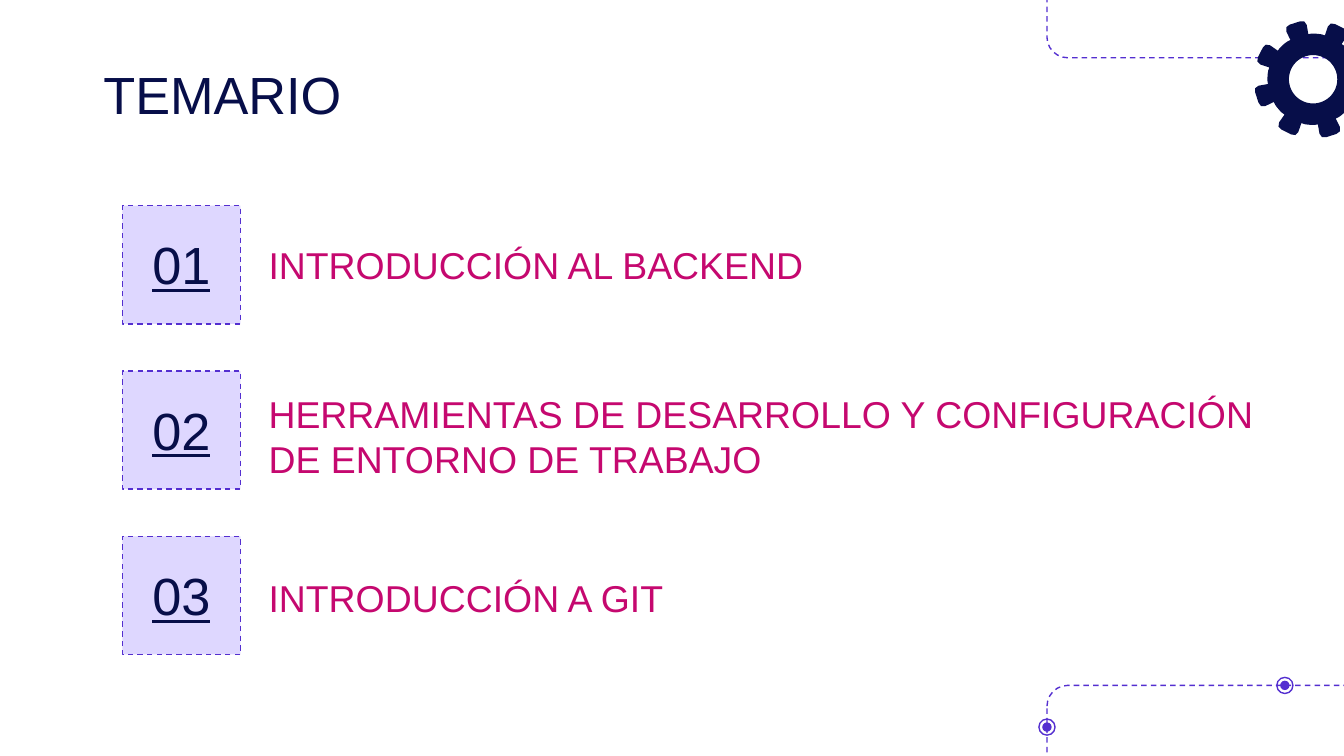
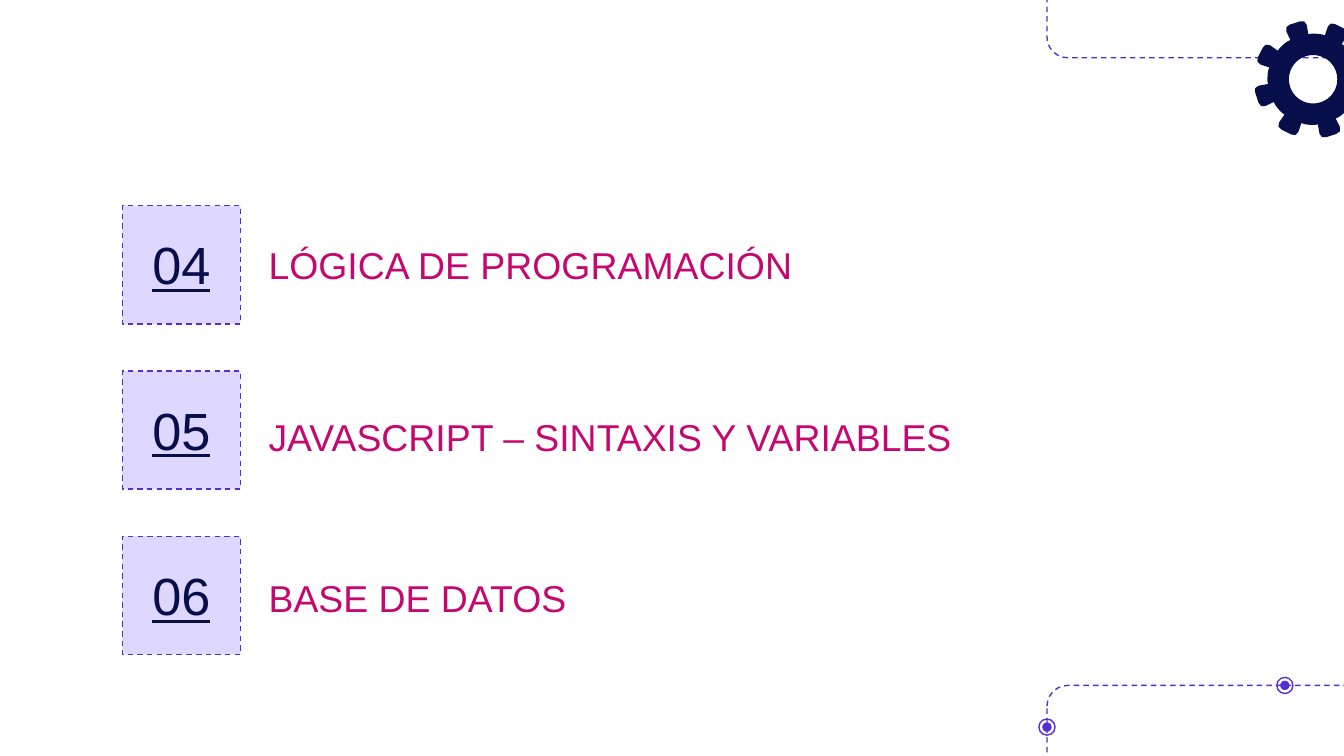
from math import cos, pi, radians, sin

from pptx import Presentation
from pptx.dml.color import RGBColor
from pptx.enum.dml import MSO_LINE
from pptx.enum.shapes import MSO_SHAPE
from pptx.enum.text import MSO_ANCHOR, MSO_AUTO_SIZE, PP_ALIGN
from pptx.util import Inches, Pt

NAVY = RGBColor(0x07, 0x0E, 0x49)
PURPLE = RGBColor(0x54, 0x2F, 0xD0)
LILAC = RGBColor(0xDE, 0xD7, 0xFF)
MAGENTA = RGBColor(0xC5, 0x08, 0x6F)
FONT = "Arial"

TITLE_ONLY, BLANK = 5, 6
BOX_SIZE = 0.88
BOX_TOP, BOX_STEP = 1.53, 1.23
TOPIC_PLACES = [(1.53, 4.72), (2.81, 7.76), (4.01, 4.45)]
NODES = [(9.56, 5.1), (7.79, 5.41)]
GEAR_CENTER = (9.77, 0.59)
TOOTH = [(0.33, -0.07), (0.4, -0.08), (0.43, -0.07), (0.44, -0.04),
         (0.44, 0.04), (0.43, 0.07), (0.4, 0.08), (0.33, 0.07)]

AGENDAS = [
    ("TEMARIO", ["INTRODUCCIÓN AL BACKEND",
                 "HERRAMIENTAS DE DESARROLLO Y CONFIGURACIÓN DE ENTORNO DE TRABAJO",
                 "INTRODUCCIÓN A GIT"]),
    (None, ["LÓGICA DE PROGRAMACIÓN",
            "JAVASCRIPT – SINTAXIS Y VARIABLES",
            "BASE DE DATOS"]),
]


def write(sp, text, size, color, anchor, align=PP_ALIGN.LEFT, underline=None):
    """Fill a shape with one formatted run."""
    tf = sp.text_frame
    tf.word_wrap = True
    tf.auto_size = MSO_AUTO_SIZE.NONE
    tf.vertical_anchor = anchor
    tf.margin_left = tf.margin_right = tf.margin_bottom = Inches(0.1)
    tf.margin_top = Inches(0.09)
    p = tf.paragraphs[0]
    p.alignment = align
    r = p.add_run()
    r.text = text
    r.font.name = FONT
    r.font.size = Pt(size)
    r.font.color.rgb = color
    r.font.underline = underline


def paint(sp, fill=None, line=None, dash=None):
    """Set fill and outline and drop the shadow."""
    sp.shadow.inherit = False
    if fill is None:
        sp.fill.background()
    else:
        sp.fill.solid()
        sp.fill.fore_color.rgb = fill
    if line is None:
        sp.line.fill.background()
    else:
        sp.line.color.rgb = line
        sp.line.width = Pt(0.75)
        sp.line.dash_style = dash


def add_preset(s, kind, x, y, w, h, **style):
    """Add a painted preset shape."""
    sp = s.shapes.add_shape(kind, Inches(x), Inches(y), Inches(w), Inches(h))
    paint(sp, **style)
    return sp


def add_circle(s, x, y, d, **style):
    """Add a circle by its center and diameter."""
    add_preset(s, MSO_SHAPE.OVAL, x - d / 2, y - d / 2, d, d, **style)


def polar(radius, angle):
    """Return the slide point at a radius and angle from the gear center."""
    x, y = GEAR_CENTER
    return Inches(x + radius * cos(angle)), Inches(y + radius * sin(angle))


def add_gear(s):
    """Draw the eight-toothed gear with a round hole."""
    x, y = GEAR_CENTER
    rim = []
    for i in range(8):
        a = radians(27 + 45 * i)
        rim += [(Inches(x + u * cos(a) - v * sin(a)),
                 Inches(y + u * sin(a) + v * cos(a))) for u, v in TOOTH]
        rim += [polar(0.34, a + radians(d)) for d in (16, 20, 25, 29)]
    hole = [polar(0.18, -2 * pi * i / 60) for i in range(60)]
    builder = s.shapes.build_freeform(*rim[0])
    builder.add_line_segments(rim[1:])
    builder.move_to(*hole[0])
    builder.add_line_segments(hole[1:])
    paint(builder.convert_to_shape(), fill=NAVY)


def add_decor(s):
    """Add the dashed corner tracks, their nodes and the gear."""
    for top in (-0.48, 5.1):
        track = add_preset(s, MSO_SHAPE.ROUNDED_RECTANGLE, 7.79, top, 2.62, 0.91,
                           line=PURPLE, dash=MSO_LINE.DASH)
        track.adjustments[0] = 0.17
    for x, y in NODES:
        add_circle(s, x, y, 0.07, fill=PURPLE)
        add_circle(s, x, y, 0.12, line=PURPLE)
    add_gear(s)


def add_title(s, text):
    """Place and format the slide title."""
    sp = s.shapes.title
    sp.left, sp.top = Inches(0.67), Inches(0.36)
    sp.width, sp.height = Inches(8.43), Inches(0.65)
    write(sp, text, 28, NAVY, MSO_ANCHOR.TOP)
    sp.text_frame.margin_top = Inches(0.1)


def add_topic(s, row, number, text):
    """Add a numbered box and the topic beside it."""
    box = add_preset(s, MSO_SHAPE.RECTANGLE, 0.91, BOX_TOP + BOX_STEP * row,
                     BOX_SIZE, BOX_SIZE, fill=LILAC, line=PURPLE, dash=MSO_LINE.DASH)
    write(box, f"{number:02}", 28, NAVY, MSO_ANCHOR.MIDDLE, PP_ALIGN.CENTER, True)
    top, width = TOPIC_PLACES[row]
    label = s.shapes.add_textbox(Inches(1.9), Inches(top), Inches(width), Inches(BOX_SIZE))
    write(label, text, 20, MAGENTA, MSO_ANCHOR.MIDDLE)


def main():
    """Build the agenda slides."""
    prs = Presentation()
    prs.slide_width = Inches(10)
    prs.slide_height = prs.slide_width * 9 // 16
    number = 1
    for title, topics in AGENDAS:
        s = prs.slides.add_slide(prs.slide_layouts[TITLE_ONLY if title else BLANK])
        add_decor(s)
        if title:
            add_title(s, title)
        for row, topic in enumerate(topics):
            add_topic(s, row, number, topic)
            number += 1
    prs.save("out.pptx")


if __name__ == "__main__":
    main()
